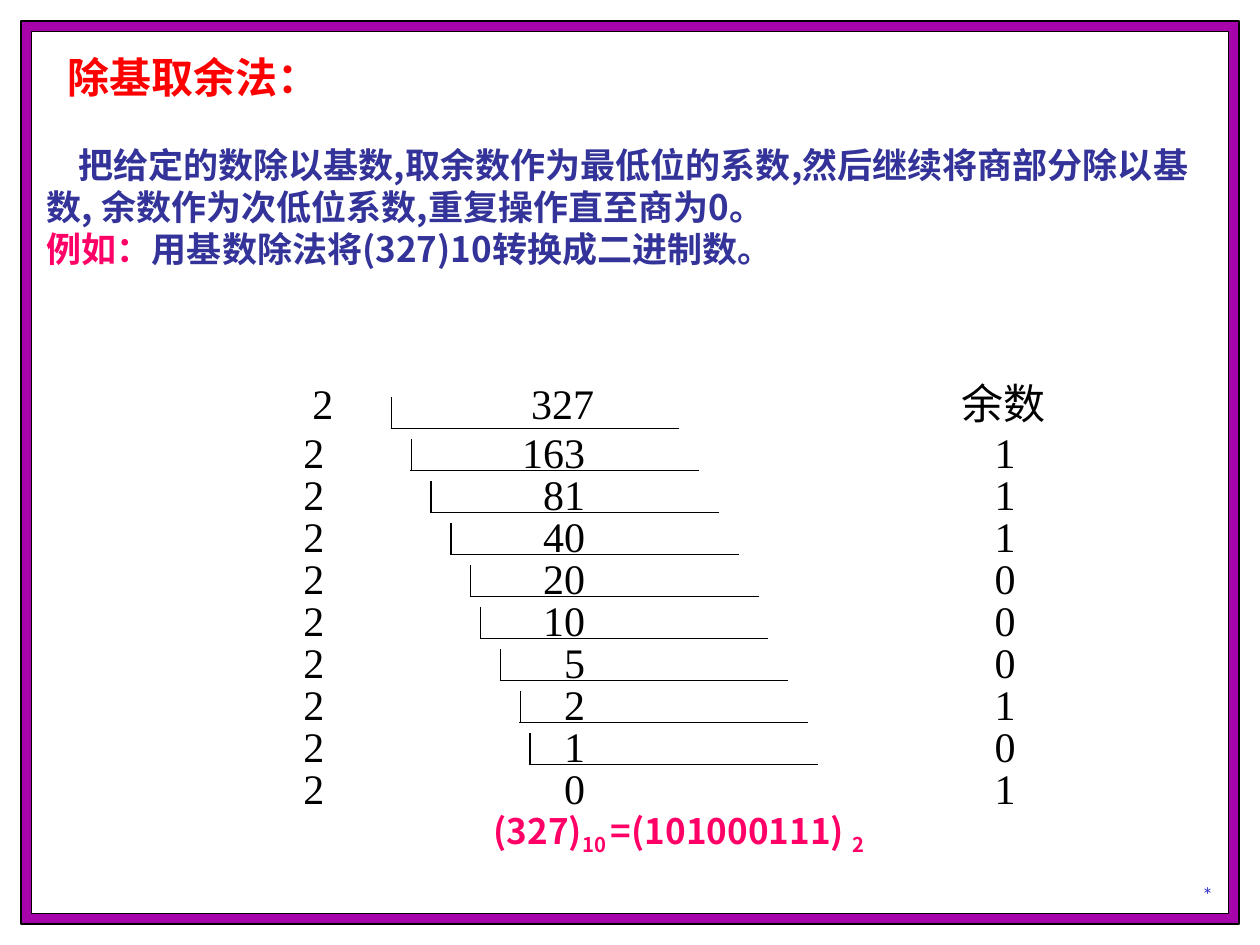
from dataclasses import dataclass

from lxml import etree
from pptx import Presentation
from pptx.dml.color import RGBColor
from pptx.enum.shapes import MSO_CONNECTOR, MSO_SHAPE
from pptx.enum.text import MSO_ANCHOR, MSO_AUTO_SIZE, PP_ALIGN
from pptx.oxml.ns import qn
from pptx.util import Pt

RECT, STRAIGHT = MSO_SHAPE.RECTANGLE, MSO_CONNECTOR.STRAIGHT
TOP, MIDDLE, BOTTOM = MSO_ANCHOR.TOP, MSO_ANCHOR.MIDDLE, MSO_ANCHOR.BOTTOM
LEFT, CENTER = PP_ALIGN.LEFT, PP_ALIGN.CENTER
NO_FIT = MSO_AUTO_SIZE.NONE


@dataclass(frozen=True)
class Theme:
    purple: str = "A603AB"
    white: str = "FFFFFF"
    black: str = "000000"
    red: str = "FF0000"
    pink: str = "FF0066"
    indigo: str = "333399"
    blue: str = "3333CC"
    head_font: str = "Lato"
    body_font: str = "Noto Sans CJK SC"
    number_font: str = "Times New Roman"
    large: int = 24
    medium: int = 20
    small: int = 12
    line: float = 0.75


class Deck:
    def __init__(self, prs, theme):
        self.theme = theme
        self.s = prs.slides.add_slide(prs.slide_layouts[1])

    def place(self, sp, box, anchor, wrap=True):
        sp.left, sp.top, sp.width, sp.height = map(Pt, box)
        tf = sp.text_frame
        tf.auto_size = NO_FIT
        tf.word_wrap = wrap
        tf.vertical_anchor = anchor
        return tf

    def run(self, p, text, font, size, color, bold=False, baseline=0):
        r = p.add_run()
        r.text = text
        r.font.name, r.font.size, r.font.bold = font, Pt(size), bold
        r.font.color.rgb = RGBColor.from_string(color)
        rpr = r.font._element
        etree.SubElement(rpr, qn("a:ea")).set("typeface", self.theme.body_font)
        if baseline:
            rpr.set("baseline", str(baseline * 1000))

    def frame(self, box, fill):
        """Draw a bordered rectangle behind everything else."""
        sp = self.s.shapes.add_shape(RECT, *map(Pt, box))
        sp.shadow.inherit = False
        sp.fill.solid()
        sp.fill.fore_color.rgb = RGBColor.from_string(fill)
        sp.line.color.rgb = RGBColor.from_string(self.theme.black)
        sp.line.width = Pt(self.theme.line)
        self.s.shapes._spTree.insert(2, sp._element)

    def title(self, text, box):
        t = self.theme
        p = self.place(self.s.shapes.title, box, TOP, False).paragraphs[0]
        p.alignment = LEFT
        self.run(p, text, t.head_font, t.large, t.red, True)

    def body(self, paragraphs, box):
        """Fill the body from (first-line indent, [(text, color), ...]) pairs."""
        t = self.theme
        tf = self.place(self.s.placeholders[1], box, TOP)
        for i, (indent, runs) in enumerate(paragraphs):
            p = tf.add_paragraph() if i else tf.paragraphs[0]
            p.line_spacing, p.space_before = Pt(24), Pt(0)
            ppr = p._p.get_or_add_pPr()
            ppr.set("marL", "0")
            ppr.set("indent", str(Pt(indent)))
            etree.SubElement(ppr, qn("a:buNone"))
            for text, color in runs:
                self.run(p, text, t.body_font, t.medium, color, True)

    def text(self, box, anchor, align=LEFT, wrap=True):
        sp = self.s.shapes.add_textbox(0, 0, 0, 0)
        p = self.place(sp, box, anchor, wrap).paragraphs[0]
        p.alignment = align
        return p

    def row(self, cells, box, stops):
        """Write one line of cells separated by (position, alignment) tab stops."""
        t = self.theme
        p = self.text(box, MIDDLE)
        tabs = etree.SubElement(p._p.get_or_add_pPr(), qn("a:tabLst"))
        for pos, align in stops:
            tab = etree.SubElement(tabs, qn("a:tab"))
            tab.set("pos", str(Pt(pos)))
            tab.set("algn", align)
        self.run(p, "\t".join(map(str, cells)), t.number_font, t.large, t.black)

    def line(self, x1, y1, x2, y2):
        c = self.s.shapes.add_connector(STRAIGHT, *map(Pt, (x1, y1, x2, y2)))
        c.line.color.rgb = RGBColor.from_string(self.theme.black)
        c.line.width = Pt(self.theme.line)
        etree.SubElement(c._element.spPr, qn("a:effectLst"))


def main():
    prs = Presentation()
    prs.slide_width, prs.slide_height = Pt(720), Pt(540)
    t = Theme()
    deck = Deck(prs, t)

    deck.frame((18, 18, 684, 504), t.white)
    deck.frame((12, 12, 696, 516), t.purple)
    deck.title("除基取余法：", (31.5, 26, 158.5, 36))
    deck.body([
        (18, [("把给定的数除以基数,取余数作为最低位的系数,然后继续将商部分除以基数, "
               "余数作为次低位系数,重复操作直至商为0。", t.indigo)]),
        (0, [("例如：", t.pink), ("用基数除法将(327)10转换成二进制数。", t.indigo)]),
    ], (19.5, 78.5, 675, 79))

    base, number, pitch = 2, 327, 24
    quotient_stop = (161, "r")
    deck.row((base, number, "余数"), (171.4, 209, 507, 42),
             (quotient_stop, (395, "ctr")))
    quotient, row_top = number, 244
    while quotient:
        quotient, remainder = divmod(quotient, base)
        deck.row((base, quotient, remainder), (166.3, row_top, 451.5, 28),
                 (quotient_stop, (401, "ctr")))
        row_top += pitch

    for i, step in enumerate((0, 2, 4, 6, 8, 9, 11, 13, 14)):
        x, y = 223.7 + 5.66 * step, 244.9 + pitch * i
        deck.line(x, y - 18, x, y)
        deck.line(x - 0.5, y, x + 164.5, y)

    p = deck.text((275, 455, 391, 42), MIDDLE, wrap=False)
    for text, baseline in (("(327)", 0), ("10 ", -25), ("=(101000111) ", 0), ("2", -25)):
        deck.run(p, text, t.body_font, t.medium, t.pink, True, baseline)
    p = deck.text((660, 486, 60, 36), BOTTOM, CENTER)
    deck.run(p, "*", t.head_font, t.small, t.blue)

    prs.save("out.pptx")


if __name__ == "__main__":
    main()
